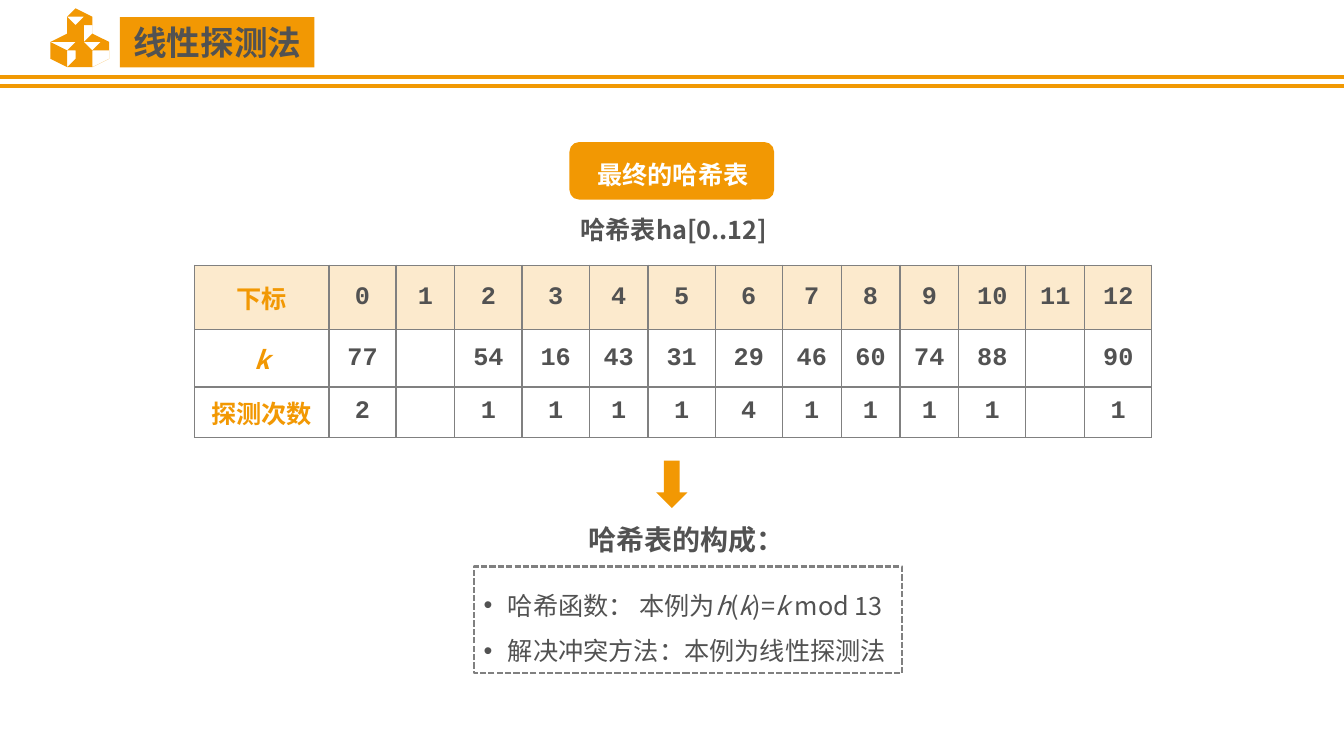
from lxml import etree
from pptx import Presentation, util as u
from pptx.dml.color import RGBColor
from pptx.enum import dml, shapes, text
from pptx.oxml import parse_xml
from pptx.oxml.ns import nsdecls, qn

ORANGE = RGBColor(0xF2, 0x98, 0x03)
RULE = RGBColor(0xF1, 0x99, 0x03)
CREAM = RGBColor(0xFC, 0xEA, 0xCD)
DARK = RGBColor(0x52, 0x52, 0x52)
GREY = RGBColor(0x80, 0x80, 0x80)
WHITE = RGBColor(0xFF, 0xFF, 0xFF)
SANS, MONO = "Noto Sans CJK SC", "Courier New"
MID, LEFT = text.PP_ALIGN.CENTER, text.PP_ALIGN.LEFT
KIND = shapes.MSO_SHAPE

deck = Presentation()
# The slide is a grid of 160 columns and 90 rows of square units.
UNIT = u.Inches(7.5) // 90
deck.slide_width, deck.slide_height = 160 * UNIT, 90 * UNIT
slide = deck.slides.add_slide(deck.slide_layouts[6])
items = slide.shapes


def grid(*nums):
    return [round(n * UNIT) for n in nums]


def style(para, size, color, bold=True, face=SANS, align=MID):
    """Set the look of a whole paragraph, East Asian face included."""
    para.alignment = align
    font = para.font
    font.size, font.bold, font.name = u.Pt(size), bold, face
    font.color.rgb = color
    base = para._p.pPr.find(qn("a:defRPr"))
    etree.SubElement(base, qn("a:ea")).set("typeface", SANS)


# Header rules
for y in (9.2, 10.2):
    rule = items.add_connector(shapes.MSO_CONNECTOR.STRAIGHT, *grid(0, y, 160, y))
    rule.line.color.rgb = RULE
    rule.line.width = u.Pt(3)
    etree.SubElement(rule._element.spPr, qn("a:effectLst"))

# Icon of three stacked cubes: one outline with a top and a side cut per cube
rim = [(13.08, 5.1), (11.16, 4.08), (11.16, 2.28), (9.36, 1.44), (7.5, 2.28),
       (7.5, 4.08), (5.64, 5.1), (5.64, 7.2), (7.68, 8.28), (9.36, 7.5),
       (11.04, 8.28), (13.08, 7.2)]
loops = [rim]
for x, y, w, h in ((9.3, 2.28, 0.9, 0.36), (7.68, 5.16, 1.2, 0.6), (10.98, 5.16, 1.26, 0.6)):
    loops.append([(x - w, y), (x, y - h), (x + w, y), (x, y + h)])
    near, far = x + 0.24, x + w + 0.3
    loops.append([(near, y + 1), (far, y + 0.4), (far, y + 1.8), (near, y + 2.4)])
pen = items.build_freeform(*rim[0], scale=UNIT)
for loop in loops:
    pen.move_to(*loop[0])
    pen.add_line_segments(loop[1:], close=True)
cubes = pen.convert_to_shape()

# Solid shapes
title = items.add_shape(KIND.RECTANGLE, *grid(14.28, 2.04, 23.16, 6))
badge = items.add_shape(KIND.ROUNDED_RECTANGLE, *grid(67.8, 16.92, 24.36, 6.84))
arrow = items.add_shape(KIND.DOWN_ARROW, *grid(78.12, 54.84, 3.72, 5.64))
for shape in (cubes, title, badge, arrow):
    shape.shadow.inherit = False
    shape.fill.solid()
    shape.fill.fore_color.rgb = ORANGE
    shape.line.fill.background()
frame = title.text_frame
frame.word_wrap = False
frame.text = "线性探测法"
style(frame.paragraphs[0], 24, DARK)

# Labels
for words, spot, size, color, face, align in (
    ("最终的哈希表", (68.28, 18.36, 23.64, 4.8), 18, WHITE, SANS, MID),
    ("哈希表ha[0..12]", (62.4, 24.96, 35.64, 4.8), 18, DARK, SANS, MID),
    ("哈希表的构成：", (68.88, 61.56, 29.04, 5.28), 20, DARK, MONO, LEFT),
):
    frame = items.add_textbox(*grid(*spot)).text_frame
    frame.word_wrap = True
    frame.text = words
    style(frame.paragraphs[0], size, color, face=face, align=align)

# Hash table
cols = (16, 8, 7, 8, 8, 7, 8, 8, 7, 7, 7, 8, 7, 8)
rows = (7.68, 6.84, 6)
data = (
    ["下标", *range(13)],
    ["k", 77, "", 54, 16, 43, 31, 29, 46, 60, 74, 88, "", 90],
    ["探测次数", 2, "", 1, 1, 1, 1, 4, 1, 1, 1, 1, "", 1],
)
table = items.add_table(3, 14, *grid(23.16, 31.56, sum(cols), sum(rows))).table
table.first_row = table.horz_banding = False
for col, width in zip(table.columns, grid(*cols)):
    col.width = width
for row, height in zip(table.rows, grid(*rows)):
    row.height = height
for r, line in enumerate(data):
    for c, value in enumerate(line):
        cell = table.cell(r, c)
        cell.text = str(value)
        cell.vertical_anchor = text.MSO_ANCHOR.MIDDLE
        para = cell.text_frame.paragraphs[0]
        if c:
            style(para, 18, DARK, face=MONO)
        else:
            style(para, 18, ORANGE)
            para.font.italic = value == "k"
        props = cell._tc.get_or_add_tcPr()
        for side in ("lnL", "lnR", "lnT", "lnB"):
            props.append(parse_xml(
                f'<a:{side} {nsdecls("a")} w="12700"><a:solidFill>'
                f'<a:srgbClr val="{GREY}"/></a:solidFill></a:{side}>'))
        if r:
            cell.fill.background()
        else:
            cell.fill.solid()
            cell.fill.fore_color.rgb = CREAM

# Parts of the hash table
box = items.add_shape(KIND.RECTANGLE, *grid(56.4, 67.44, 51, 12.72))
box.shadow.inherit = False
box.fill.background()
box.line.color.rgb = GREY
box.line.width = u.Pt(1.5)
box.line.dash_style = dml.MSO_LINE.SQUARE_DOT
frame = box.text_frame
frame.word_wrap = True
frame.vertical_anchor = text.MSO_ANCHOR.TOP
frame.margin_top, frame.margin_bottom = grid(1, 1.4)
parts = (
    ("哈希函数： 本例为", "h", "(", "k", ")=", "k", " mod 13"),
    ("解决冲突方法：本例为线性探测法",),
)
for n, runs in enumerate(parts):
    para = frame.add_paragraph() if n else frame.paragraphs[0]
    para.line_spacing = 1.5
    props = para._p.get_or_add_pPr()
    props.set("marL", str(u.Inches(0.24)))
    props.set("indent", str(-u.Inches(0.24)))
    etree.SubElement(props, qn("a:buFont")).set("typeface", "Arial")
    etree.SubElement(props, qn("a:buChar")).set("char", "•")
    style(para, 18, DARK, bold=False, align=LEFT)
    for words in runs:
        run = para.add_run()
        run.text = words
        if words in ("h", "k"):
            run.font.italic = True

deck.save("out.pptx")
